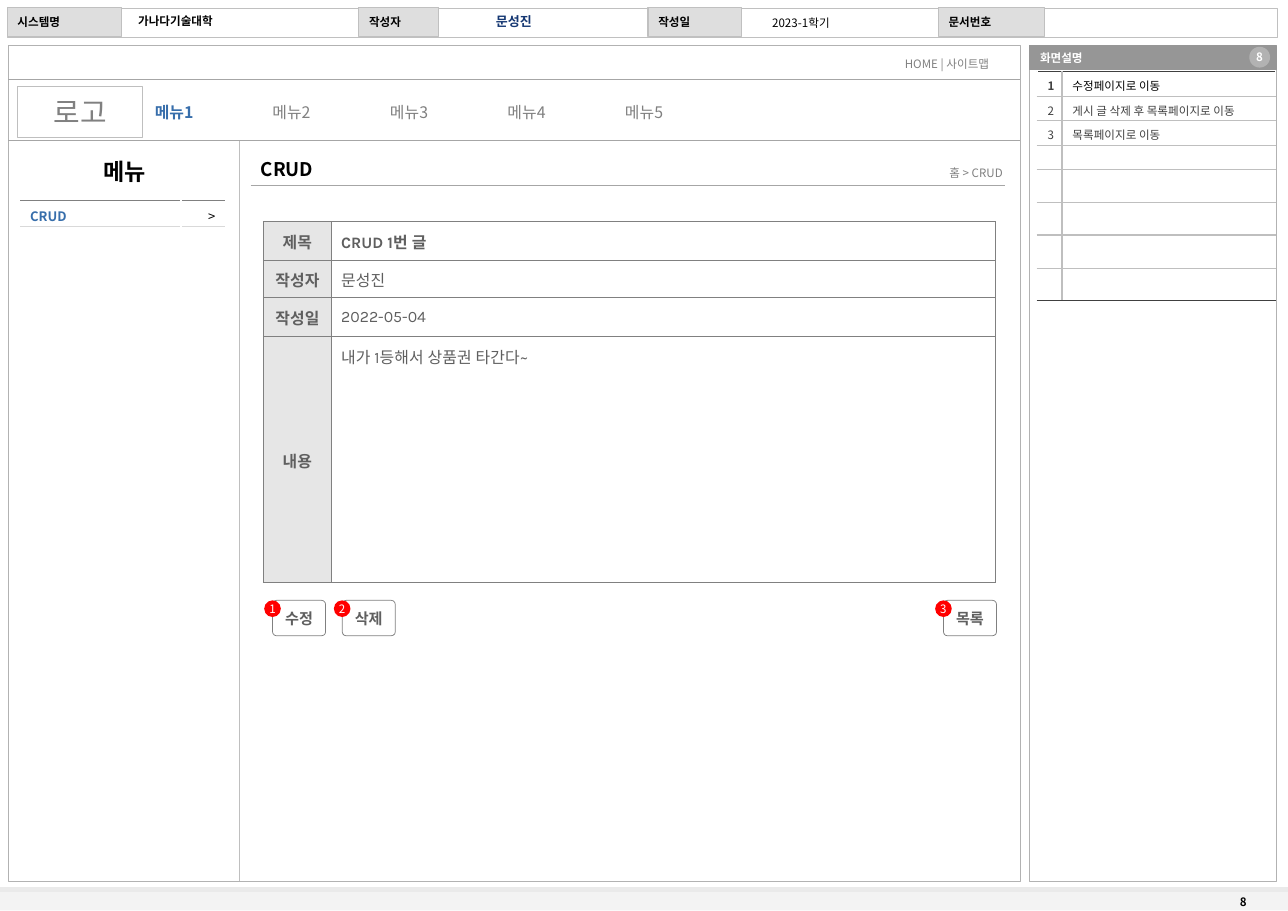
from lxml import etree
from pptx import Presentation
from pptx.dml.color import RGBColor
from pptx.enum.shapes import MSO_CONNECTOR, MSO_SHAPE
from pptx.enum.text import MSO_ANCHOR, PP_ALIGN
from pptx.oxml import parse_xml
from pptx.oxml.ns import nsdecls, qn
from pptx.util import Inches, Pt

NOTO, KARLA = "Noto Sans CJK KR", "Karla"
BLACK, WHITE, GRAY, DARK, BLUE = "000000", "FFFFFF", "808080", "5F5F5F", "376EAB"
LEFT, CENTER, RIGHT = PP_ALIGN.LEFT, PP_ALIGN.CENTER, PP_ALIGN.RIGHT
TOP, MIDDLE = MSO_ANCHOR.TOP, MSO_ANCHOR.MIDDLE
INSETS = (0.1, 0.05, 0.1, 0.05)
TIGHT = (0.1, 0.05, 0.1, 0.02)
BARE = (0, 0, 0, 0)

# left, top, width, height, fill, line colour, line width
FRAMES = [
    (0, 8.55, 12.38, 0.2, "F3F3F3", None, 0),
    (0.08, 0.44, 9.73, 8.03, None, "B2B2B2", 0.75),
    (9.9, 0.67, 2.37, 7.8, None, "B2B2B2", 0.5),
    (0.07, 0.08, 12.21, 0.28, WHITE, "C0C0C0", 0.75),
]
HEADER_LABELS = [
    ("시스템명", 0.07, 1.1), ("작성자", 3.45, 0.77),
    ("작성일", 6.23, 0.9), ("문서번호", 9.02, 1.02),
]
# x1, y1, x2, y2, colour, width
RULES = [
    (0, 8.55, 12.38, 8.55, "EAEAEA", 3),
    (2.3, 1.35, 2.3, 8.47, "BFBFBF", 0.25),
    (2.41, 1.78, 9.66, 1.78, "A6A6A6", 0.75),
    (0.08, 1.35, 9.81, 1.35, "A6A6A6", 0.75),
    (3.67, 0.76, 9.81, 0.76, "A6A6A6", 0.75),
    (0.08, 0.76, 4.22, 0.76, "A6A6A6", 0.75),
]
# text, left, top, width, height, size, colour, bold, alignment
TEXTS = [
    ("가나다기술대학", 1.23, 0.08, 2.22, 0.24, 8, BLACK, True, LEFT),
    ("문성진", 4.23, 0.08, 1.42, 0.25, 9, "163873", True, CENTER),
    ("2023-1학기", 7.31, 0.1, 0.78, 0.24, 8, BLACK, False, CENTER),
    ("8", 11.82, 8.55, 0.55, 0.24, 8, BLACK, True, LEFT),
    ("HOME | 사이트맵", 8.6, 0.49, 1.06, 0.24, 8, GRAY, False, LEFT),
    ("메뉴", 0.08, 1.46, 2.23, 0.37, 16, BLACK, True, CENTER),
    ("CRUD", 2.41, 1.46, 0.71, 0.32, 13, BLACK, True, LEFT),
    ("홈 > CRUD", 8.97, 1.54, 0.77, 0.24, 8, GRAY, False, RIGHT),
]
MENUS = ["메뉴1", "메뉴2", "메뉴3", "메뉴4", "메뉴5"]
MENU_LEFT, MENU_STEP = 1.39, 1.13
NOTES = ["수정페이지로 이동", "게시 글 삭제 후 목록페이지로 이동", "목록페이지로 이동"]
NOTE_HEIGHTS = [0.24, 0.23] * 2 + [0.32, 0.31] * 2
# label, value, row height, top inset and anchor of the value
POST = [
    ("제목", "CRUD 1번 글", 0.37, 0.09, MIDDLE),
    ("작성자", "문성진", 0.36, 0.09, MIDDLE),
    ("작성일", "2022-05-04", 0.37, 0.04, MIDDLE),
    ("내용", "내가 1등해서 상품권 타간다~", 2.37, 0.12, TOP),
]
BUTTONS = [("수정", 2.62), ("삭제", 3.29), ("목록", 9.07)]
BUTTON_TOP = 5.77


def color(value):
    return RGBColor.from_string(value)


def write(frame, text, size, shade, bold=False, align=LEFT, font=NOTO):
    para = frame.paragraphs[0]
    para.alignment = align
    span = para.add_run()
    span.text = text
    span.font.size, span.font.bold, span.font.name = Pt(size), bold, font
    span.font.color.rgb = color(shade)
    etree.SubElement(span.font._element, qn("a:ea"), typeface=font)


def set_insets(target, insets):
    (target.margin_left, target.margin_top,
     target.margin_right, target.margin_bottom) = map(Inches, insets)


def add_box(page, area, fill=None, line=None, width=0.75, kind=MSO_SHAPE.RECTANGLE,
            insets=INSETS, wrap=True):
    box = page.shapes.add_shape(kind, *map(Inches, area))
    box.shadow.inherit = False
    if fill:
        box.fill.solid()
        box.fill.fore_color.rgb = color(fill)
    else:
        box.fill.background()
    if line:
        box.line.color.rgb = color(line)
        box.line.width = Pt(width)
    else:
        box.line.fill.background()
    frame = box.text_frame
    frame.word_wrap, frame.vertical_anchor = wrap, MIDDLE
    set_insets(frame, insets)
    return box


def add_text(page, text, area, *style):
    frame = page.shapes.add_textbox(*map(Inches, area)).text_frame
    frame.word_wrap, frame.vertical_anchor = False, MIDDLE
    set_insets(frame, INSETS)
    write(frame, text, *style)


def add_rule(page, x1, y1, x2, y2, shade, width):
    rule = page.shapes.add_connector(MSO_CONNECTOR.STRAIGHT, *map(Inches, (x1, y1, x2, y2)))
    rule.line.color.rgb = color(shade)
    rule.line.width = Pt(width)
    etree.SubElement(rule._element.spPr, qn("a:effectLst"))


def add_grid(page, left, top, widths, heights):
    area = (left, top, sum(widths), sum(heights))
    table = page.shapes.add_table(len(heights), len(widths), *map(Inches, area)).table
    table.first_row = table.horz_banding = False
    for column, width in zip(table.columns, widths):
        column.width = Inches(width)
    for row, height in zip(table.rows, heights):
        row.height = Inches(height)
    return table


def dress_cell(cell, borders, width, fill, insets, anchor=MIDDLE):
    """Borders map a side (L, R, T, B) to a colour."""
    props = cell._tc.get_or_add_tcPr()
    for side in "LRTB":
        if side in borders:
            props.append(parse_xml(
                f'<a:ln{side} {nsdecls("a")} w="{Pt(width)}"><a:solidFill>'
                f'<a:srgbClr val="{borders[side]}"/></a:solidFill></a:ln{side}>'))
    cell.fill.solid()
    cell.fill.fore_color.rgb = color(fill)
    cell.vertical_anchor = anchor
    set_insets(cell, insets)


def add_side_menu(page):
    table = add_grid(page, 0.19, 1.93, (1.55, 0.43), (0.25,))
    items = [("CRUD", 9, BLUE, True, LEFT), (">", 9, BLACK, False, RIGHT)]
    for cell, item in zip(table.iter_cells(), items):
        dress_cell(cell, {"L": WHITE, "R": WHITE, "T": GRAY, "B": "D9D9D9"}, 1, WHITE, TIGHT)
        write(cell.text_frame, *item)


def add_notes_table(page):
    table = add_grid(page, 9.97, 0.69, (0.24, 2.05), NOTE_HEIGHTS)
    last = len(NOTE_HEIGHTS) - 1
    for i in range(last + 1):
        number, note = table.cell(i, 0), table.cell(i, 1)
        edges = {"T": "BFBFBF" if i else "404040", "B": "BFBFBF" if i < last else "404040"}
        for cell, side in ((number, "R"), (note, "L")):
            dress_cell(cell, {**edges, side: "BFBFBF"}, 1, WHITE, TIGHT, TOP)
        if i < len(NOTES):
            write(number.text_frame, str(i + 1), 8, "404040", i == 0)
            write(note.text_frame, NOTES[i], 8, "404040" if i else BLACK)
        else:
            for cell in (number, note):
                etree.SubElement(cell.text_frame.paragraphs[0]._p, qn("a:endParaRPr"), sz="800")


def add_post_table(page):
    table = add_grid(page, 2.53, 2.13, (0.66, 6.38), [row[2] for row in POST])
    edges = dict.fromkeys("LRTB", GRAY)
    for i, (label, value, _, inset, anchor) in enumerate(POST):
        name, entry = table.cell(i, 0), table.cell(i, 1)
        dress_cell(name, edges, 0.5, "E6E6E6", (0.05, 0.09, 0.05, 0.04))
        write(name.text_frame, label, 11, DARK, True, CENTER, KARLA)
        dress_cell(entry, edges, 0.5, WHITE, (0.09, inset, 0.09, 0.04), anchor)
        write(entry.text_frame, value, 11, DARK, i == 0, LEFT, KARLA)


def add_buttons(page):
    for i, (label, left) in enumerate(BUTTONS, 1):
        button = add_box(page, (left, BUTTON_TOP, 0.51, 0.34), WHITE, GRAY, 0.5,
                         MSO_SHAPE.ROUNDED_RECTANGLE, BARE, False)
        button.adjustments[0] = 0.11
        write(button.text_frame, label, 10.5, DARK, True, CENTER, KARLA)
        badge = add_box(page, (left - 0.08, BUTTON_TOP, 0.16, 0.16), "FF0000",
                        kind=MSO_SHAPE.OVAL, insets=BARE, wrap=False)
        write(badge.text_frame, str(i), 8, WHITE, False, CENTER)


def main():
    deck = Presentation()
    deck.slide_width, deck.slide_height = Inches(12.382), Inches(8.755)
    page = deck.slides.add_slide(deck.slide_layouts[6])
    for *area, fill, line, width in FRAMES:
        add_box(page, area, fill, line, width)
    for label, left, width in HEADER_LABELS:
        box = add_box(page, (left, 0.07, width, 0.28), "DEDEDE", "C0C0C0")
        write(box.text_frame, label, 8, BLACK, True)
    for rule in RULES:
        add_rule(page, *rule)
    title = add_box(page, (9.9, 0.44, 2.37, 0.23), "969696", "969696", 0.5)
    write(title.text_frame, "화면설명", 8, WHITE, True)
    badge = add_box(page, (12.01, 0.45, 0.2, 0.2), "B2B2B2", kind=MSO_SHAPE.OVAL,
                    insets=BARE, wrap=False)
    write(badge.text_frame, "8", 8, WHITE, True, CENTER)
    for text, left, top, width, height, *style in TEXTS:
        add_text(page, text, (left, top, width, height), *style)
    for i, menu in enumerate(MENUS):
        area = (MENU_LEFT + i * MENU_STEP, 0.93, 0.62, 0.29)
        add_text(page, menu, area, 11, GRAY if i else BLUE, i == 0)
    emblem = add_box(page, (0.17, 0.83, 1.2, 0.49), WHITE, "BFBFBF", 0.25)
    write(emblem.text_frame, "로고", 20, GRAY, False, CENTER)
    add_side_menu(page)
    add_notes_table(page)
    add_post_table(page)
    add_buttons(page)
    deck.save("out.pptx")


if __name__ == "__main__":
    main()
